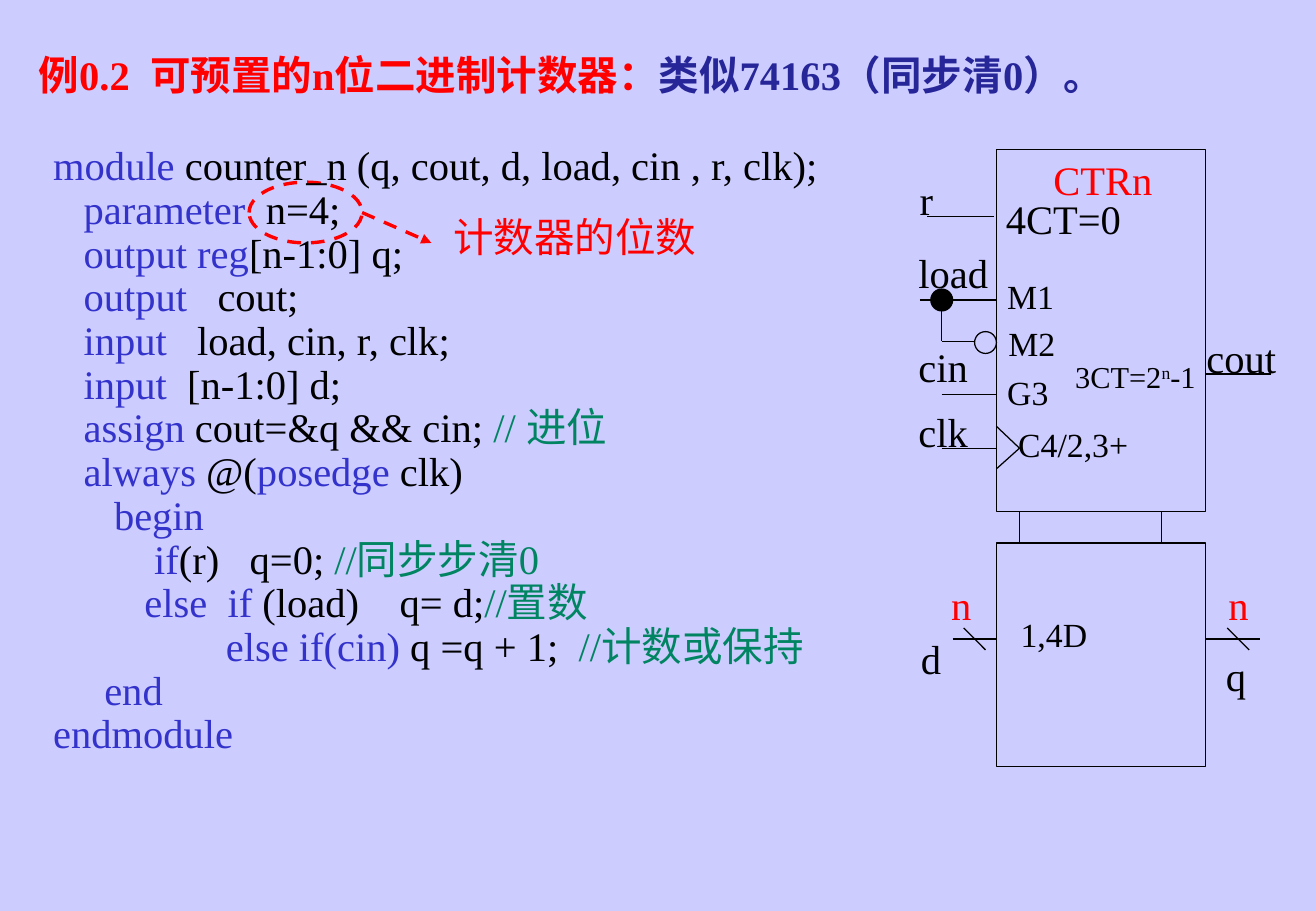
"""Build the slide on a presettable n-bit binary counter."""
from dataclasses import dataclass

from lxml import etree
from pptx import Presentation
from pptx import util as u
from pptx.dml import color
from pptx.enum import dml, shapes, text
from pptx.oxml import ns

PX = 9144
FONT = "Times New Roman"
COLORS = {
    "background": "CCCCFF",
    "black": "000000",
    "red": "FF0000",
    "navy": "262699",
    "keyword": "3333CC",
    "comment": "008461",
}


@dataclass(frozen=True)
class Span:
    text: str
    color: str = "black"
    gap: int = 0
    raised: bool = False


@dataclass(frozen=True)
class CodeLine:
    indent: int
    spans: tuple[Span, ...]


@dataclass(frozen=True)
class Label:
    text: str
    left: int
    top: int
    width: int
    size: int = 24
    color: str = "black"


@dataclass(frozen=True)
class Outline:
    left: int
    top: int
    width: int
    height: int
    kind: shapes.MSO_SHAPE = shapes.MSO_SHAPE.RECTANGLE
    fill: str = ""
    color: str = "black"
    dashed: bool = False


@dataclass(frozen=True)
class Wire:
    x1: int
    y1: int
    x2: int
    y2: int
    color: str = "black"
    dashed: bool = False
    arrow: bool = False


def keyword(word: str, gap: int = 0) -> Span:
    return Span(word, "keyword", gap)


def comment(words: str) -> Span:
    return Span(words, "comment")


TITLE = (
    Span("例0.2", "red", 2),
    Span("可预置的n位二进制计数器：", "red"),
    Span("类似74163（同步清0）。", "navy"),
)
CODE = (
    CodeLine(0, (keyword("module "), Span("counter_n (q, cout, d, load, cin , r, clk);"))),
    CodeLine(25, (keyword("parameter", 2), Span("n=4;"))),
    CodeLine(25, (keyword("output reg"), Span("[n-1:0] q;"))),
    CodeLine(25, (keyword("output", 3), Span("cout;"))),
    CodeLine(25, (keyword("input", 3), Span("load, cin, r, clk;"))),
    CodeLine(25, (keyword("input", 2), Span("[n-1:0] d;"))),
    CodeLine(25, (keyword("assign "), Span("cout=&q && cin; "), comment("// 进位"))),
    CodeLine(25, (keyword("always"), Span(" @("), keyword("posedge "), Span("clk)"))),
    CodeLine(50, (keyword("begin"),)),
    CodeLine(83, (keyword("if"), Span("(r)", gap=3), Span("q=0; "), comment("//同步步清0"))),
    CodeLine(75, (keyword("else", 2), keyword("if"), Span(" (load)", gap=4),
                  Span("q= d;"), comment("//置数"))),
    CodeLine(142, (keyword("else if(cin) "), Span("q =q + 1;", gap=2), comment("//计数或保持"))),
    CodeLine(42, (keyword("end"),)),
    CodeLine(0, (keyword("endmodule"),)),
)
CARRY = (Span("3CT=2"), Span("n", raised=True), Span("-1"))
OUTLINES = (
    Outline(820, 123, 172, 298),
    Outline(820, 447, 172, 184),
    Outline(839, 421, 117, 26),
    Outline(802, 273, 18, 18, shapes.MSO_SHAPE.OVAL),
    Outline(766, 238, 18, 18, shapes.MSO_SHAPE.OVAL, "black"),
    Outline(205, 150, 93, 50, shapes.MSO_SHAPE.OVAL, color="red", dashed=True),
)
WIRES = (
    Wire(763, 178, 818, 178),
    Wire(757, 247, 820, 247),
    Wire(802, 281, 775, 281),
    Wire(775, 281, 775, 247),
    Wire(775, 325, 820, 325),
    Wire(775, 369, 820, 369),
    Wire(820, 351, 839, 369),
    Wire(839, 369, 820, 386),
    Wire(992, 308, 1046, 308),
    Wire(784, 526, 820, 526),
    Wire(992, 526, 1037, 526),
    Wire(793, 517, 811, 535),
    Wire(1010, 517, 1028, 535),
    Wire(298, 175, 355, 200, "red", True, True),
)
LABELS = (
    Label("CTRn", 857, 123, 102, color="red"),
    Label("4CT=0", 818, 155, 115),
    Label("M1", 819, 222, 59, 20),
    Label("M2", 820, 261, 59, 20),
    Label("G3", 819, 301, 54, 20),
    Label("C4/2,3+", 828, 344, 111, 20),
    Label("1,4D", 830, 500, 75, 20),
    Label("r", 747, 139, 31),
    Label("load", 746, 199, 78),
    Label("cin", 746, 277, 61),
    Label("clk", 746, 330, 61),
    Label("cout", 983, 269, 78),
    Label("d", 748, 517, 37),
    Label("q", 999, 531, 37),
    Label("n", 773, 473, 40, color="red"),
    Label("n", 1001, 473, 40, color="red"),
    Label("计数器的位数", 363, 170, 220, color="red"),
)


def rgb(name: str) -> color.RGBColor:
    return color.RGBColor.from_string(COLORS[name])


def style_run(run, size: int, name: str, bold: bool = False) -> None:
    run.font.name = FONT
    run.font.size = u.Pt(size)
    run.font.bold = bold
    run.font.color.rgb = rgb(name)


def style_line(line, name: str, dashed: bool) -> None:
    line.color.rgb = rgb(name)
    line.width = u.Pt(2 if dashed else 0.75)
    if dashed:
        line.dash_style = dml.MSO_LINE.DASH


def add_box(page, left: int, top: int, width: int, height: int, wrap: bool = False):
    box = page.shapes.add_textbox(left * PX, top * PX, width * PX, height * PX)
    box.text_frame.word_wrap = wrap
    if not wrap:
        box.text_frame.auto_size = text.MSO_AUTO_SIZE.SHAPE_TO_FIT_TEXT
    return box.text_frame


def write_spans(para, spans: tuple[Span, ...], size: int, bold: bool = False) -> None:
    for span in spans:
        run = para.add_run()
        run.text = span.text
        style_run(run, size, span.color, bold)
        if span.raised:
            run.font._element.set("baseline", "30000")
        if span.gap:
            space = para.add_run()
            space.text = " "
            style_run(space, size, span.color, bold)
            space.font._element.set("spc", str((span.gap - 1) * size * 25))


def add_label(page, label: Label) -> None:
    frame = add_box(page, label.left, label.top, label.width, 50 if label.size == 24 else 43)
    frame.text = label.text
    style_run(frame.paragraphs[0].runs[0], label.size, label.color)


def add_code(page) -> None:
    frame = add_box(page, 34, 115, 667, 519)
    for number, line in enumerate(CODE):
        para = frame.add_paragraph() if number else frame.paragraphs[0]
        para.line_spacing = 0.9
        para._p.get_or_add_pPr().set("marL", str(line.indent * PX))
        write_spans(para, line.spans, 24)


def add_outline(page, item: Outline) -> None:
    shape = page.shapes.add_shape(
        item.kind, item.left * PX, item.top * PX, item.width * PX, item.height * PX)
    shape.shadow.inherit = False
    if item.fill:
        shape.fill.solid()
        shape.fill.fore_color.rgb = rgb(item.fill)
    else:
        shape.fill.background()
    style_line(shape.line, item.color, item.dashed)


def add_wire(page, wire: Wire) -> None:
    connector = page.shapes.add_connector(
        shapes.MSO_CONNECTOR.STRAIGHT, wire.x1 * PX, wire.y1 * PX, wire.x2 * PX, wire.y2 * PX)
    style_line(connector.line, wire.color, wire.dashed)
    if wire.arrow:
        etree.SubElement(connector.line._get_or_add_ln(), ns.qn("a:tailEnd"), type="triangle")
    etree.SubElement(connector._element.spPr, ns.qn("a:effectLst"))


def main() -> None:
    deck = Presentation()
    deck.slide_width, deck.slide_height = 1083 * PX, 750 * PX
    page = deck.slides.add_slide(deck.slide_layouts[6])
    page.background.fill.solid()
    page.background.fill.fore_color.rgb = rgb("background")
    title = add_box(page, 22, 36, 1008, 50, wrap=True)
    write_spans(title.paragraphs[0], TITLE, 24, bold=True)
    for outline in OUTLINES:
        add_outline(page, outline)
    for wire in WIRES:
        add_wire(page, wire)
    for label in LABELS:
        add_label(page, label)
    carry = add_box(page, 875, 290, 120, 40)
    write_spans(carry.paragraphs[0], CARRY, 18)
    add_code(page)
    deck.save("out.pptx")


if __name__ == "__main__":
    main()
